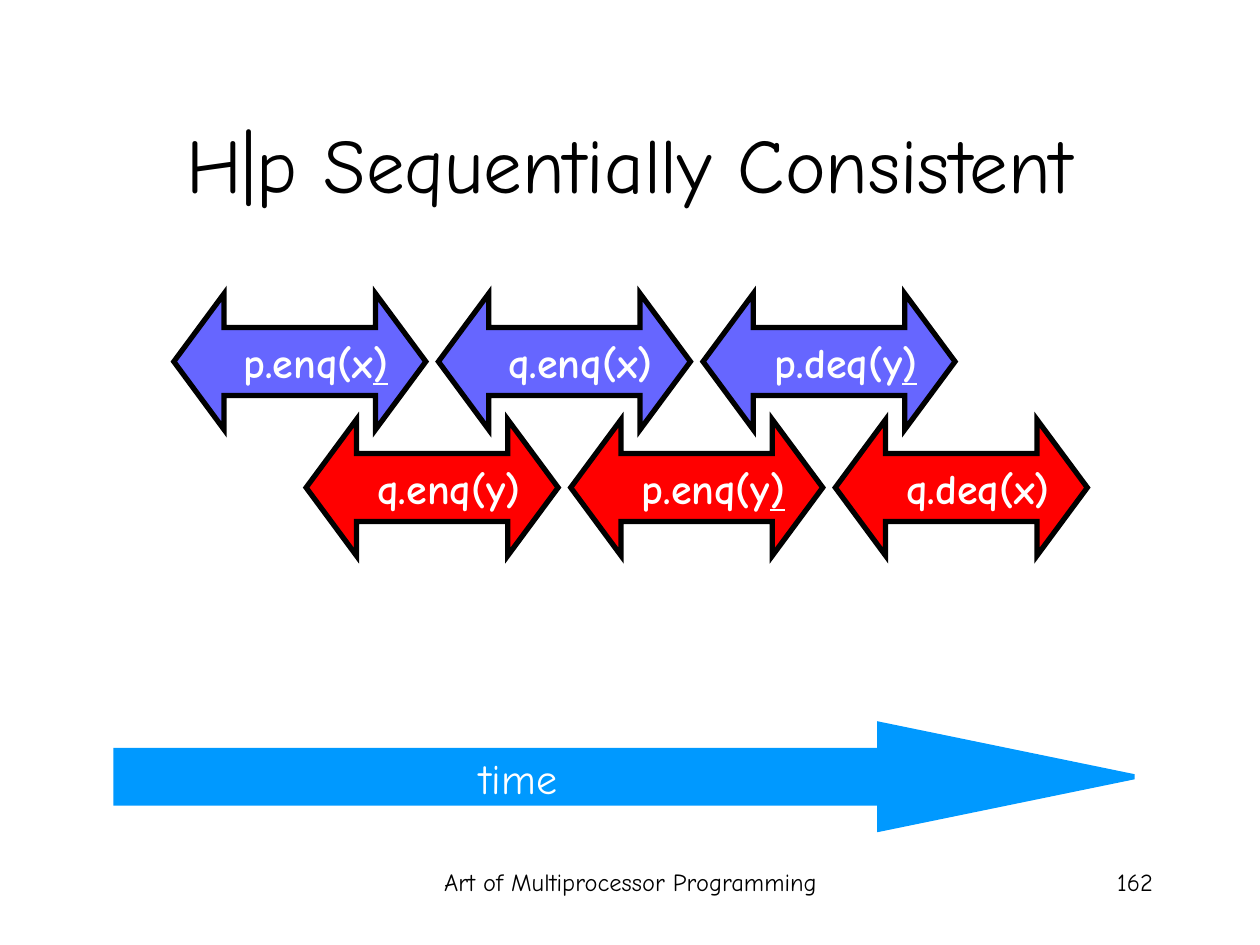
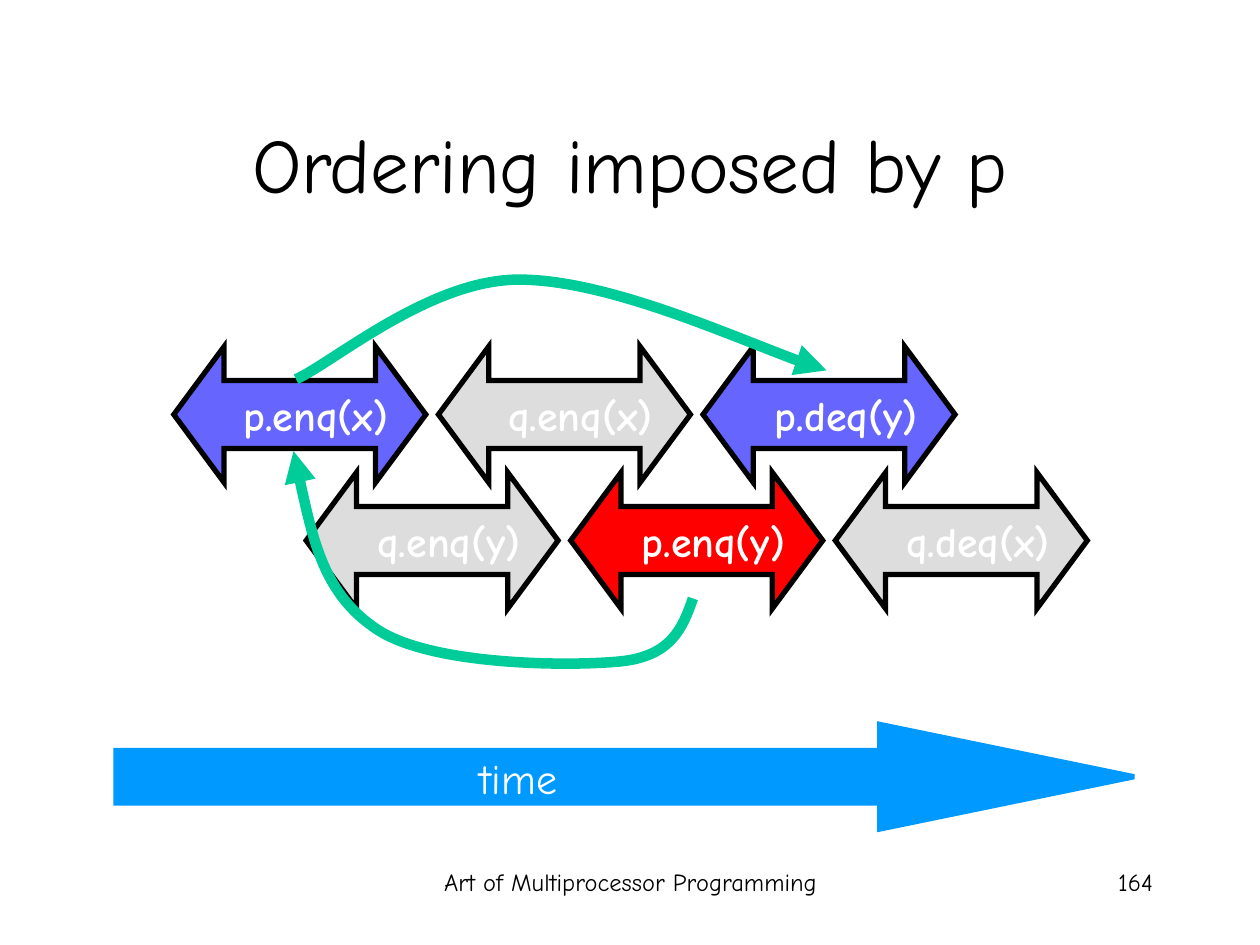
from dataclasses import dataclass
from pptx import Presentation
from pptx.dml.color import RGBColor as Rgb
from pptx.enum.shapes import MSO_SHAPE as Shape
from pptx.enum.text import MSO_ANCHOR as Anchor, MSO_AUTO_SIZE as Fit, PP_ALIGN as Align
from pptx.oxml.ns import qn
from pptx.util import Inches, Pt


@dataclass(frozen=True)
class Theme:
    font: str = "Comic Neue"
    ink: str = "000000"
    white: str = "FFFFFF"
    blue: str = "6666FF"
    red: str = "FF0000"
    grey: str = "DDDDDD"
    sky: str = "0099FF"
    green: str = "00CC99"
    title: int = 44
    label: int = 24
    foot: int = 14
    edge: int = 3
    curve: int = 6


T = Theme()
WIDE, HIGH = 10, 7.5
FOOT = "Art of Multiprocessor Programming"
CALLS = ["p.enq(x)", "q.enq(y)", "q.enq(x)", "p.enq(y)", "p.deq(y)", "q.deq(x)"]
LEFT, STEP, DROP = 1.38, 1.05, 1
ARROW = (2, 1.08)
SLIDES = [
    dict(title="H|p Sequentially Consistent", num="162", top=2.33,
         under=["p.enq(x)", "p.enq(y)", "p.deq(y)"], dim=[], curves=[]),
    dict(title="Ordering imposed by p", num="164", top=2.75,
         under=[], dim=["q.enq(x)", "q.enq(y)", "q.deq(x)"],
         curves=[
             [(6.56, 2.94), (6.15, 2.82), (4.8, 2.21), (4.1, 2.22),
              (3.4, 2.23), (2.64, 2.88), (2.35, 3.01)],
             [(2.33, 3.58), (2.45, 4.15), (2.57, 4.72), (3, 5),
              (3.43, 5.28), (4.5, 5.29), (4.92, 5.25),
              (5.33, 5.21), (5.42, 4.98), (5.5, 4.75)],
         ]),
]


def write(shape, *runs, size=T.label, color=T.white, bold=False, align=Align.RIGHT,
          anchor=Anchor.TOP, wrap=True, last=False):
    frame = shape.text_frame
    frame.word_wrap, frame.auto_size, frame.vertical_anchor = wrap, Fit.NONE, anchor
    para = frame.paragraphs[0]
    para.alignment = align
    for text in runs:
        run = para.add_run()
        run.text = text
        font = run.font
        font.name, font.size, font.bold = T.font, Pt(size), bold
        font.color.rgb = Rgb.from_string(color)
    if last:
        font.underline = True


def box(shapes, *at):
    return shapes.add_textbox(*map(Inches, at))


def stroke(shape, color, width, tag, **attrs):
    shape.shadow.inherit = False
    shape.line.color.rgb = Rgb.from_string(color)
    shape.line.width = Pt(width)
    line = shape.line._get_or_add_ln()
    line.append(line.makeelement(qn(tag), attrs))


def draw(shapes, kind, at, adj, fill, line):
    shape = shapes.add_shape(kind, *map(Inches, at))
    for i, part in enumerate(adj):
        shape.adjustments[i] = part
    shape.fill.solid()
    shape.fill.fore_color.rgb = Rgb.from_string(fill)
    stroke(shape, line, T.edge, "a:miter", lim="800000")
    return shape


def bend(shapes, points):
    grid = [(round(x * 100), round(y * 100)) for x, y in points]
    pen = shapes.build_freeform(*grid[0], scale=Inches(0.01))
    pen.add_line_segments(grid[1:], close=False)
    shape = pen.convert_to_shape()
    shape.fill.background()
    stroke(shape, T.green, T.curve, "a:headEnd", type="triangle")
    steps = list(shape._element.iter(qn("a:lnTo")))
    for i in range(0, len(steps), 3):
        cubic = steps[i].makeelement(qn("a:cubicBezTo"))
        steps[i].addprevious(cubic)
        for step in steps[i:i + 3]:
            cubic.append(step[0])
            step.getparent().remove(step)


def frame(slide, title, num):
    head = slide.shapes.title
    head.left, head.top, head.width, head.height = map(
        Inches, (0.075 * WIDE, 0.67, 0.85 * WIDE, HIGH / 6))
    write(head, title, size=T.title, color=T.ink, align=Align.CENTER, anchor=Anchor.MIDDLE)
    for text, left, width, align in [(FOOT, 3.42, 3.17, Align.CENTER),
                                     (num, 7.17, 2.08, Align.RIGHT)]:
        write(box(slide.shapes, left, 6.83, width, 0.5), text,
              size=T.foot, color=T.ink, align=align)


def history(shapes, top, under, dim):
    for i, call in enumerate(CALLS):
        row = i % 2
        fill = T.grey if call in dim else (T.blue, T.red)[row]
        at = (LEFT + i * STEP, top + row * DROP, *ARROW)
        shape = draw(shapes, Shape.LEFT_RIGHT_ARROW, at, (0.5, 0.37), fill, T.ink)
        mark = call in under
        runs = (call[:-1], call[-1]) if mark else (call,)
        write(shape, *runs, bold=True, anchor=Anchor.MIDDLE, wrap=False, last=mark)


def clock(slide):
    group = slide.shapes.add_group_shape().shapes
    draw(group, Shape.RIGHT_ARROW, (0.92, 5.75, 8.08, 0.83), (0.5, 2.43), T.sky, T.sky)
    write(box(group, 3.52, 5.92, 1, 0.5), "time")


def main():
    deck = Presentation()
    deck.slide_width, deck.slide_height = Inches(WIDE), Inches(HIGH)
    for page in SLIDES:
        slide = deck.slides.add_slide(deck.slide_layouts[5])
        frame(slide, page["title"], page["num"])
        history(slide.shapes, page["top"], page["under"], page["dim"])
        for points in page["curves"]:
            bend(slide.shapes, points)
        clock(slide)
    deck.save("out.pptx")


if __name__ == "__main__":
    main()
